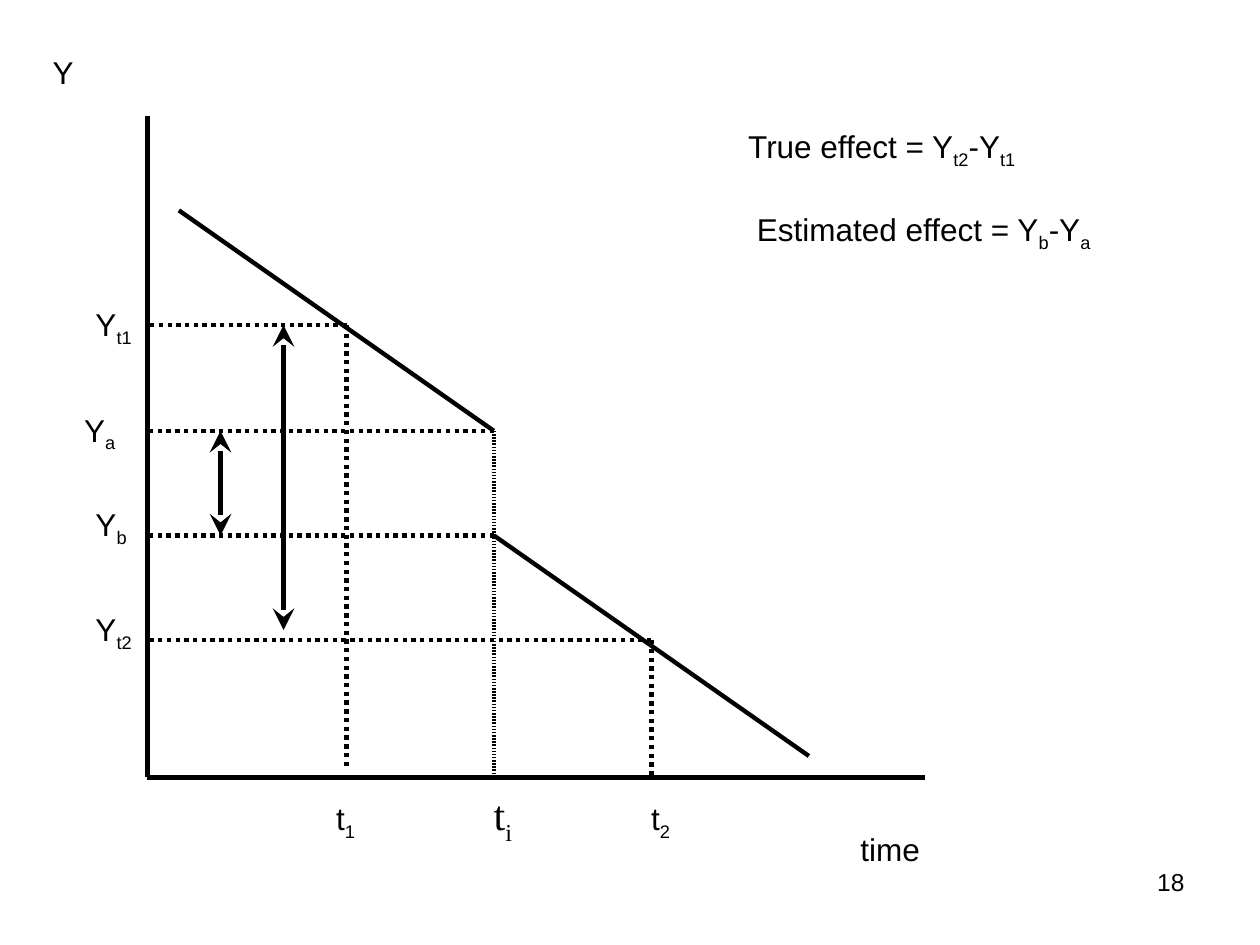
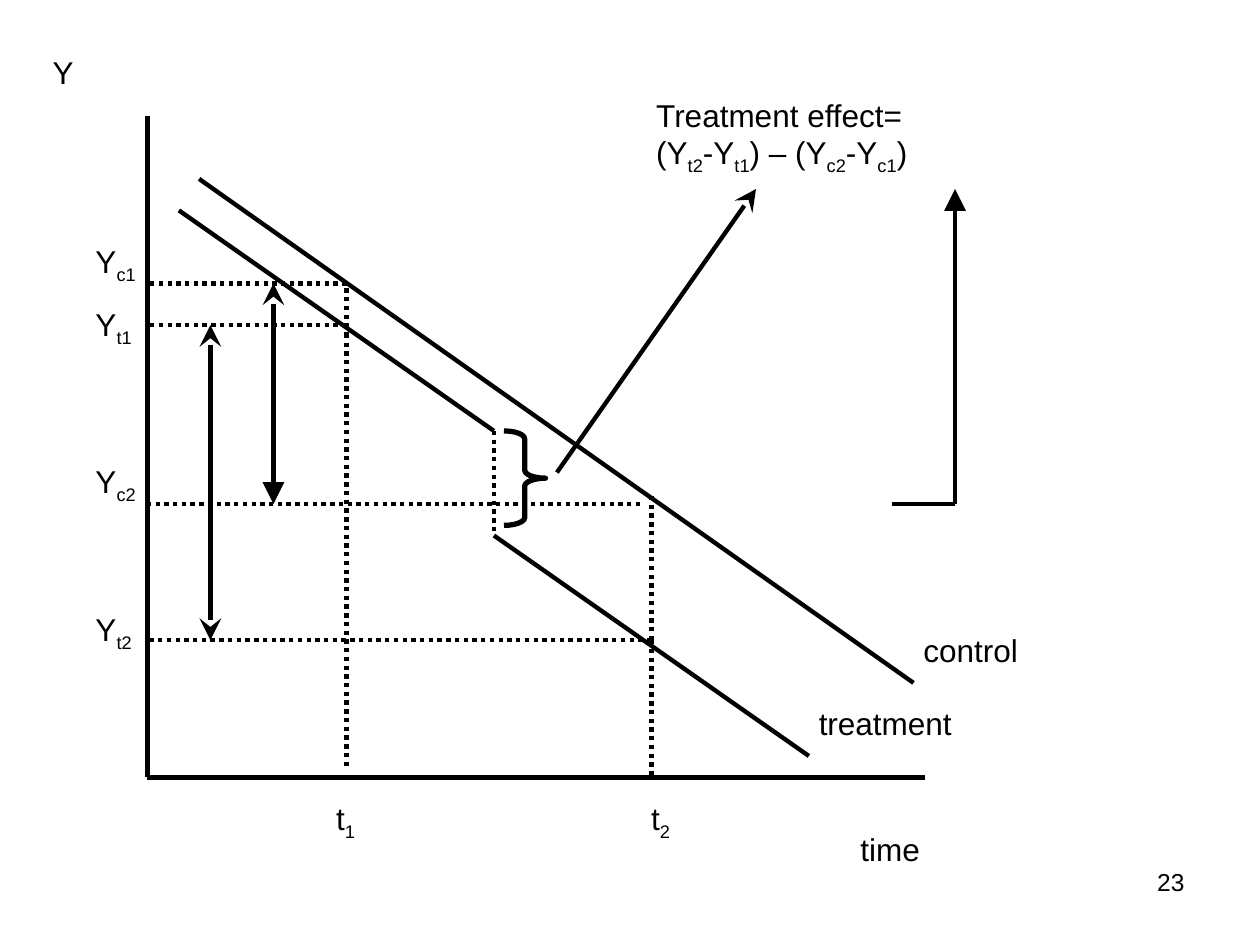
"""Build two before-and-after trend diagrams with shared axes and labels."""
from lxml.etree import SubElement
from pptx import Presentation
from pptx.dml.color import RGBColor
from pptx.enum.dml import MSO_LINE_DASH_STYLE as Dash
from pptx.enum.shapes import MSO_CONNECTOR as Connector, MSO_SHAPE as Shape
from pptx.enum.text import MSO_AUTO_SIZE as AutoSize, PP_ALIGN as Align
from pptx.oxml.ns import qn
from pptx.util import Inches, Pt

COLOURS = {"ink": "000000", "paper": "FFFFFF"}
INK = RGBColor.from_string(COLOURS["ink"])
AXIS_X, AXIS_Y = 1.17, 6.17
T1, TI, T2 = 2.75, 3.92, 5.17
YT1, YA, YB, YT2 = 2.58, 3.42, 4.25, 5.08
YC1, YC2 = 2.25, 4
FRAME_FORMAT = {
    "margin_left": Inches(0.1),
    "margin_right": Inches(0.1),
    "margin_top": Inches(0.05),
    "margin_bottom": Inches(0.05),
}


def add_line(page, start, end, dash=None, head=None, tail=None, width=2.49):
    points = [Inches(value) for value in (*start, *end)]
    line = page.shapes.add_connector(Connector.STRAIGHT, *points)
    line.line.color.rgb = INK
    line.line.width = Pt(width)
    if dash:
        line.line.dash_style = dash
    properties = line._element.spPr
    outline = properties.find(qn("a:ln"))
    for tag, kind in (("a:headEnd", head), ("a:tailEnd", tail)):
        if kind:
            SubElement(outline, qn(tag), type=kind, w="lg", len="lg")
    SubElement(properties, qn("a:effectLst"))
    return outline


def add_text(page, place, text, size=18, font="Arial", align=Align.LEFT, wrap=False, before=0):
    box = page.shapes.add_textbox(*(Inches(value) for value in place))
    frame = box.text_frame
    for name, value in FRAME_FORMAT.items():
        setattr(frame, name, value)
    frame.word_wrap = wrap
    frame.auto_size = AutoSize.NONE if wrap else AutoSize.SHAPE_TO_FIT_TEXT
    for index, row in enumerate(text.split("\n")):
        para = frame.add_paragraph() if index else frame.paragraphs[0]
        para.alignment = align
        para.space_before = Pt(before)
        for position, piece in enumerate(row.split("_")):
            if not piece:
                continue
            span = para.add_run()
            span.text = piece
            for name, value in {"size": Pt(size), "name": font}.items():
                setattr(span.font, name, value)
            span.font.color.rgb = INK
            if position % 2:
                span._r.get_or_add_rPr().set("baseline", "-25000")


deck = Presentation()
deck.slide_width, deck.slide_height = Inches(10), Inches(7.5)
pages = []
for number in ("18", "23"):
    page = deck.slides.add_slide(deck.slide_layouts[6])
    page.background.fill.solid()
    page.background.fill.fore_color.rgb = RGBColor.from_string(COLOURS["paper"])
    for start, end in (
        ((AXIS_X, 0.92), (AXIS_X, AXIS_Y)),
        ((AXIS_X, AXIS_Y), (7.34, AXIS_Y)),
        ((1.42, 1.67), (TI, YA)),
        ((TI, YB), (6.42, 6)),
    ):
        add_line(page, start, end)
    for time, level, bottom in ((T1, YT1, 6.08), (T2, YT2, AXIS_Y)):
        add_line(page, (time, level), (AXIS_X, level), Dash.ROUND_DOT)
        add_line(page, (time, level), (time, bottom), Dash.ROUND_DOT)
    for place, text in (
        ((6.73, 6.54, 0.68, 0.4), "time"),
        ((0.32, 0.37, 0.37, 0.4), "Y"),
        ((2.57, 6.29, 0.36, 0.44), "t_1"),
        ((5.07, 6.29, 0.36, 0.44), "t_2"),
        ((0.66, 2.37, 0.5, 0.44), "Y_t1"),
        ((0.66, 4.79, 0.5, 0.44), "Y_t2"),
    ):
        add_text(page, place, text)
    add_text(page, (7.17, 6.83, 2.33, 0.52), number, size=14, align=Align.RIGHT, wrap=True)
    pages.append(page)

single, compared = pages

for level in (YA, YB):
    add_line(single, (TI, level), (AXIS_X, level), Dash.ROUND_DOT)
for x, top, bottom in ((1.75, YA, YB), (2.25, YT1, 5)):
    add_line(single, (x, top), (x, bottom), head="stealth", tail="stealth")
outline = add_line(single, (TI, YA), (TI, AXIS_Y), width=2.24)
pattern = SubElement(outline, qn("a:custDash"))
SubElement(pattern, qn("a:ds"), d="40000", sp="40000")
for place, text in (
    ((0.57, 3.21, 0.46, 0.44), "Y_a"),
    ((0.66, 3.96, 0.46, 0.44), "Y_b"),
    ((5.84, 0.96, 2.36, 0.44), "True effect = Y_t2_-Y_t1"),
    ((5.91, 1.62, 2.87, 0.44), "Estimated effect = Y_b_-Y_a"),
):
    add_text(single, place, text)
add_text(single, (3.82, 6.21, 0.4, 0.56), "t_i", size=24, font="Times New Roman", before=6)

for start, end in (
    ((TI, YA), (TI, YB)),
    ((T2, YT2), (T2, 3.92)),
    ((T1, 2.67), (T1, YC1)),
    ((5.08, YC2), (AXIS_X, YC2)),
    ((T1, YC1), (AXIS_X, YC1)),
):
    add_line(compared, start, end, Dash.ROUND_DOT)
for start, end, head, tail in (
    ((1.58, 1.42), (7.25, 5.42), None, None),
    ((1.67, YT1), (1.67, YT2), "stealth", "stealth"),
    ((4.42, 3.75), (6, 1.5), None, "stealth"),
    ((2.17, YC1), (2.17, YC2), "stealth", "triangle"),
    ((7.08, YC2), (7.58, YC2), None, None),
    ((7.58, YC2), (7.58, 1.5), None, "triangle"),
):
    add_line(compared, start, end, head=head, tail=tail)
brace = compared.shapes.add_shape(
    Shape.RIGHT_BRACE, Inches(4), Inches(YA), Inches(0.33), Inches(0.75)
)
brace.adjustments[0] = 0.19
brace.shadow.inherit = False
brace.fill.background()
brace.line.color.rgb = INK
brace.line.width = Pt(3)
for place, text in (
    ((6.4, 5.54, 1.3, 0.4), "treatment"),
    ((7.23, 4.96, 0.97, 0.4), "control"),
    ((0.66, 1.87, 0.53, 0.44), "Y_c1"),
    ((0.66, 3.62, 0.53, 0.44), "Y_c2"),
    ((5.11, 0.71, 2.21, 0.74), "Treatment effect=\n(Y_t2_-Y_t1_) – (Y_c2_-Y_c1_)"),
):
    add_text(compared, place, text)

deck.save("out.pptx")
